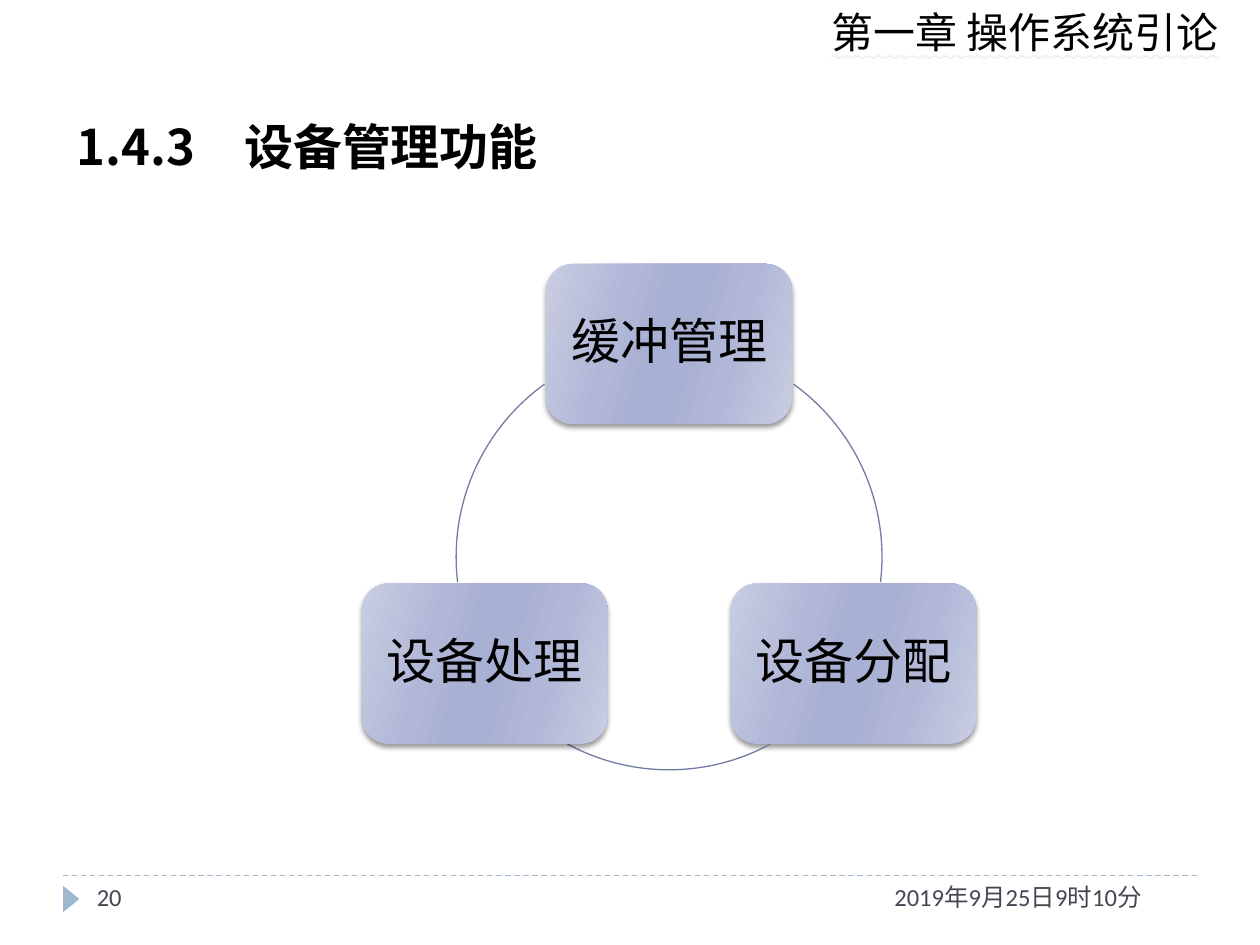
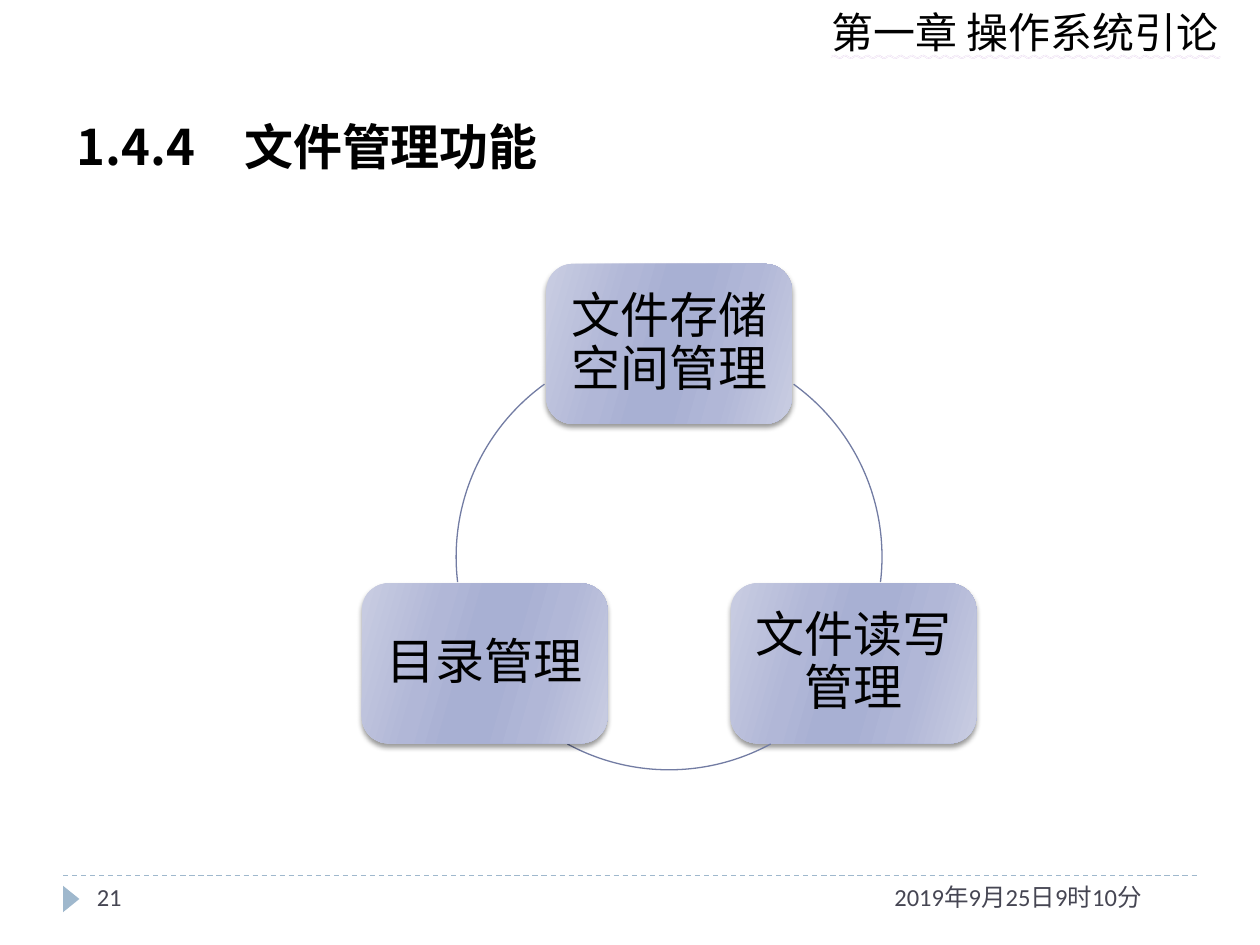
"""Build two operating-system slides, each with a ring of three functions."""
import math

import lxml.etree
import pptx
import pptx.dml.color
import pptx.enum.dml
import pptx.enum.shapes
import pptx.enum.text
import pptx.oxml
import pptx.oxml.ns
import pptx.util

Inches = pptx.util.Inches
Pt = pptx.util.Pt
SHAPES = pptx.enum.shapes.MSO_SHAPE
ALIGN = pptx.enum.text.PP_ALIGN
ANCHOR = pptx.enum.text.MSO_ANCHOR
qn = pptx.oxml.ns.qn
NAMESPACE = pptx.oxml.ns.nsdecls("a")

COLOURS = {
    "text": "000000", "footer": "464653", "accent": "9FB8CD", "ring": "727CA3",
    "wave": "D5B5E3", "edge": "C9CDE2", "middle": "B1B7D7", "core": "A8B0D3",
}
BODY_FONT = "Calibri"
TITLE_FONT = "Noto Sans CJK SC"
CHAPTER = "第一章 操作系统引论"
DATE = "2019年9月25日9时10分"
SLIDES = [
    (20, "1.4.3　设备管理功能", ["缓冲管理", "设备分配", "设备处理"]),
    (21, "1.4.4　文件管理功能", ["文件存储空间管理", "文件读写管理", "目录管理"]),
]

CENTRE_X, CENTRE_Y, RADIUS = 5.31, 4.42, 1.69
BOX_WIDTH, BOX_HEIGHT = 1.95, 1.27
BOX_ANGLES = [-90, 30, 150]
ARCS = [(-54.2, 6.8), (61.5, 118.5), (173.2, 234.2)]
GRADIENT = [(0, "edge"), (30, "middle"), (45, "core"),
            (55, "core"), (73, "middle"), (100, "edge")]
STOPS = "".join(
    f'<a:gs pos="{position * 1000}"><a:srgbClr val="{COLOURS[name]}"/></a:gs>'
    for position, name in GRADIENT)
BOX_FILL = (f'<a:gradFill {NAMESPACE} rotWithShape="1"><a:gsLst>{STOPS}</a:gsLst>'
            '<a:lin ang="960000" scaled="0"/></a:gradFill>')
BOX_SHADOW = (f'<a:outerShdw {NAMESPACE} blurRad="38100" dist="25400" dir="5400000" '
              'rotWithShape="0"><a:srgbClr val="000000"><a:alpha val="40000"/>'
              '</a:srgbClr></a:outerShdw>')
WAVE_FILL = (f'<a:uFill {NAMESPACE}><a:solidFill><a:srgbClr val="{COLOURS["wave"]}"/>'
             '</a:solidFill></a:uFill>')


def rgb(name):
    return pptx.dml.color.RGBColor.from_string(COLOURS[name])


def write(shape, text, size, colour, alignment=ALIGN.LEFT, font_name=BODY_FONT):
    paragraph = shape.text_frame.paragraphs[0]
    paragraph.text = text
    paragraph.alignment = alignment
    paragraph.font.size = Pt(size)
    paragraph.font.color.rgb = rgb(colour)
    paragraph.font.name = font_name
    return paragraph


presentation = pptx.Presentation()
presentation.slide_width = Inches(10)
presentation.slide_height = Inches(7.5)

for number, heading, functions in SLIDES:
    slide = presentation.slides.add_slide(presentation.slide_layouts[5])
    shapes = slide.shapes

    rule = shapes.add_connector(pptx.enum.shapes.MSO_CONNECTOR.STRAIGHT,
                                Inches(0.5), Inches(6.95), Inches(9.5), Inches(6.95))
    rule.line.color.rgb = rgb("accent")
    rule.line.width = Pt(0.75)
    rule.line.dash_style = pptx.enum.dml.MSO_LINE.DASH
    lxml.etree.SubElement(rule._element.spPr, qn("a:effectLst"))

    marker = shapes.add_shape(SHAPES.ISOSCELES_TRIANGLE, Inches(0.46), Inches(7.07),
                              Inches(0.21), Inches(0.13))
    marker.rotation = 90
    marker.shadow.inherit = False
    marker.fill.solid()
    marker.fill.fore_color.rgb = rgb("accent")
    marker.line.fill.background()

    chapter = shapes.add_textbox(Inches(6.5), Inches(0), Inches(3.4), Inches(0.5))
    paragraph = write(chapter, CHAPTER, 24, "text")
    paragraph.font.underline = pptx.enum.text.MSO_UNDERLINE.WAVY_DOUBLE_LINE
    paragraph.font._element.find(qn("a:solidFill")).addnext(
        pptx.oxml.parse_xml(WAVE_FILL))

    for left, width, text in [(7, 2.5, DATE), (0.67, 2.17, str(number))]:
        footer = shapes.add_textbox(Inches(left), Inches(6.95), Inches(width), Inches(0.4))
        footer.text_frame.word_wrap = True
        write(footer, text, 14, "footer")

    title = shapes.title
    title.left, title.top = Inches(0.51), Inches(0.76)
    title.width, title.height = Inches(8.98), Inches(0.79)
    title.text_frame.vertical_anchor = ANCHOR.MIDDLE
    paragraph = write(title, heading, 28, "text", ALIGN.JUSTIFY, TITLE_FONT)
    paragraph.font.bold = True
    east_asian = lxml.etree.Element(qn("a:ea"), typeface=TITLE_FONT)
    paragraph.font._element.find(qn("a:latin")).addnext(east_asian)

    for function, angle, (start, end) in zip(functions, BOX_ANGLES, ARCS):
        box_x = CENTRE_X + RADIUS * math.cos(math.radians(angle))
        box_y = CENTRE_Y + RADIUS * math.sin(math.radians(angle))
        box = shapes.add_shape(SHAPES.ROUNDED_RECTANGLE,
                               Inches(box_x - BOX_WIDTH / 2), Inches(box_y - BOX_HEIGHT / 2),
                               Inches(BOX_WIDTH), Inches(BOX_HEIGHT))
        box.line.fill.background()
        box.shadow.inherit = False
        properties = box._element.spPr
        properties.find(qn("a:prstGeom")).addnext(pptx.oxml.parse_xml(BOX_FILL))
        properties.find(qn("a:effectLst")).append(pptx.oxml.parse_xml(BOX_SHADOW))
        frame = box.text_frame
        frame.word_wrap = True
        frame.vertical_anchor = ANCHOR.MIDDLE
        frame.margin_left = frame.margin_right = Inches(0.12)
        frame.margin_top = frame.margin_bottom = Inches(0.12)
        paragraph = write(box, function, 28, "text", ALIGN.CENTER)
        paragraph.line_spacing = 0.9

        arc = shapes.add_shape(SHAPES.ARC, Inches(CENTRE_X - RADIUS), Inches(CENTRE_Y - RADIUS),
                               Inches(2 * RADIUS), Inches(2 * RADIUS))
        arc.adjustments[0] = start % 360 * 0.6
        arc.adjustments[1] = end * 0.6
        arc.shadow.inherit = False
        arc.fill.background()
        arc.line.color.rgb = rgb("ring")
        arc.line.width = Pt(0.75)

presentation.save("out.pptx")
